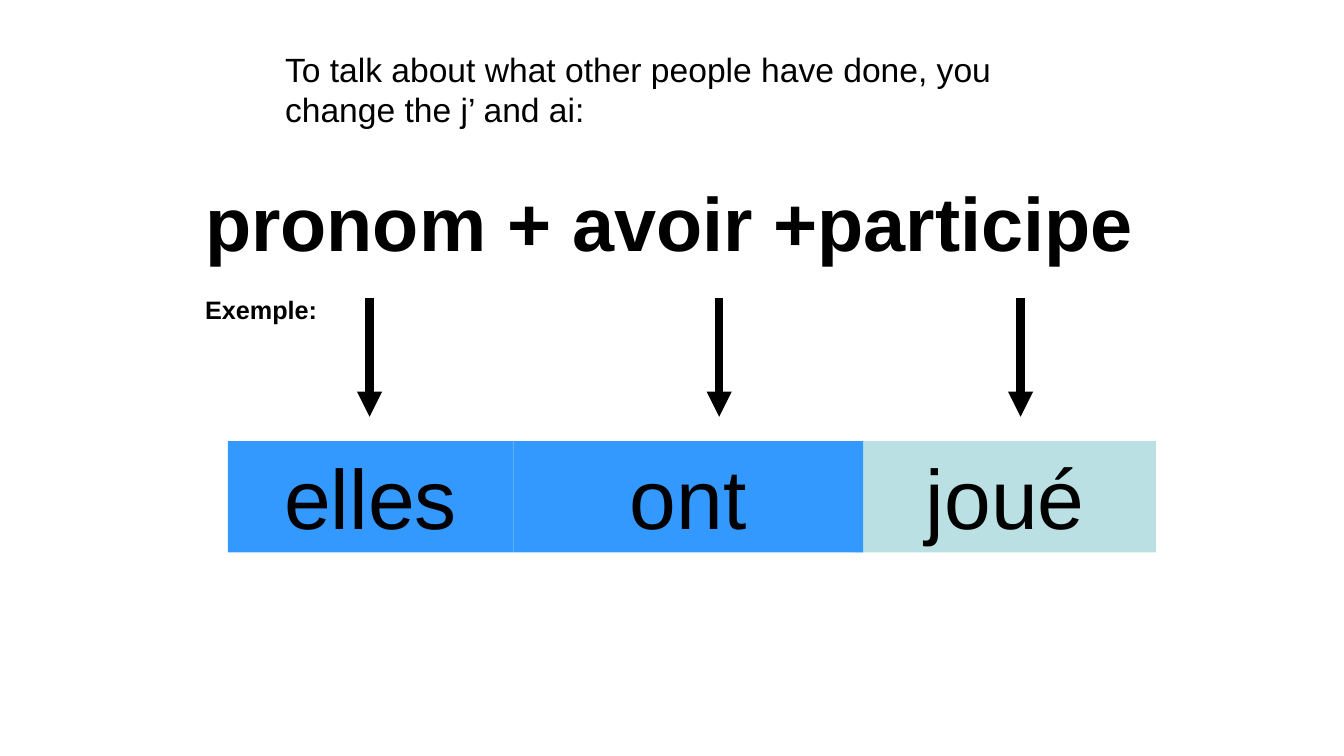
from pptx import Presentation
from pptx.dml.color import RGBColor
from pptx.enum.shapes import MSO_CONNECTOR, MSO_SHAPE
from pptx.enum.text import MSO_ANCHOR, PP_ALIGN
from pptx.oxml.ns import qn
from pptx.util import Pt
from lxml.etree import SubElement

PX = 9525  # 96 px to the inch
BLACK = RGBColor(0x00, 0x00, 0x00)
BLUE = RGBColor(0x33, 0x99, 0xFF)
PALE_TEAL = RGBColor(0xBB, 0xE0, 0xE3)


def emu(*lengths):
    return [length * PX for length in lengths]


def write(shape, text, size, bold=False, align=PP_ALIGN.LEFT):
    frame = shape.text_frame
    frame.word_wrap = True
    frame.vertical_anchor = MSO_ANCHOR.TOP
    para = frame.paragraphs[0]
    para.alignment = align
    span = para.add_run()
    span.text = text
    span.font.name = "Arial"
    span.font.size = Pt(size)
    span.font.bold = bold
    span.font.color.rgb = BLACK


def add_text(page, box, text, size, bold=False):
    write(page.shapes.add_textbox(*emu(*box)), text, size, bold)


def add_arrow(page, x, top, bottom):
    arrow = page.shapes.add_connector(
        MSO_CONNECTOR.STRAIGHT, *emu(x, top, x, bottom))
    arrow.line.color.rgb = BLACK
    arrow.line.width = Pt(6)
    SubElement(arrow.line._get_or_add_ln(), qn("a:tailEnd"), type="triangle")
    SubElement(arrow._element.spPr, qn("a:effectLst"))


def add_word(page, box, text, color):
    cell = page.shapes.add_shape(MSO_SHAPE.RECTANGLE, *emu(*box))
    cell.shadow.inherit = False
    cell.fill.solid()
    cell.fill.fore_color.rgb = color
    cell.line.fill.background()
    write(cell, text, 60, align=PP_ALIGN.CENTER)


def add_formula(page, box):
    left, top, width, height = box
    # Rule, with the example label below it
    add_text(page, (left, top, width, 96), "pronom + avoir +participe", 54, True)
    add_text(page, (left, top + 113, 140, 38), "Exemple:", 18, True)
    # Arrows from each part of the rule to its word
    for offset in (166, 499, 786):
        add_arrow(page, left + offset, top + 121, top + 234)
    # Example sentence; "ont" overlaps the edge of "joué"
    words = [("joué", 628, 287, PALE_TEAL),
             ("elles", 31, 272, BLUE),
             ("ont", 303, 333, BLUE)]
    for text, offset, word_width, color in words:
        add_word(page, (left + offset, top + height - 106, word_width, 106),
                 text, color)


def main():
    deck = Presentation()
    deck.slide_width, deck.slide_height = emu(1280, 720)
    page = deck.slides.add_slide(deck.slide_layouts[6])
    add_text(page, (262, 42, 771, 87),
             "To talk about what other people have done, you change the j’ and ai:",
             24)
    add_formula(page, (186, 163, 907, 363))
    deck.save("out.pptx")


if __name__ == "__main__":
    main()
